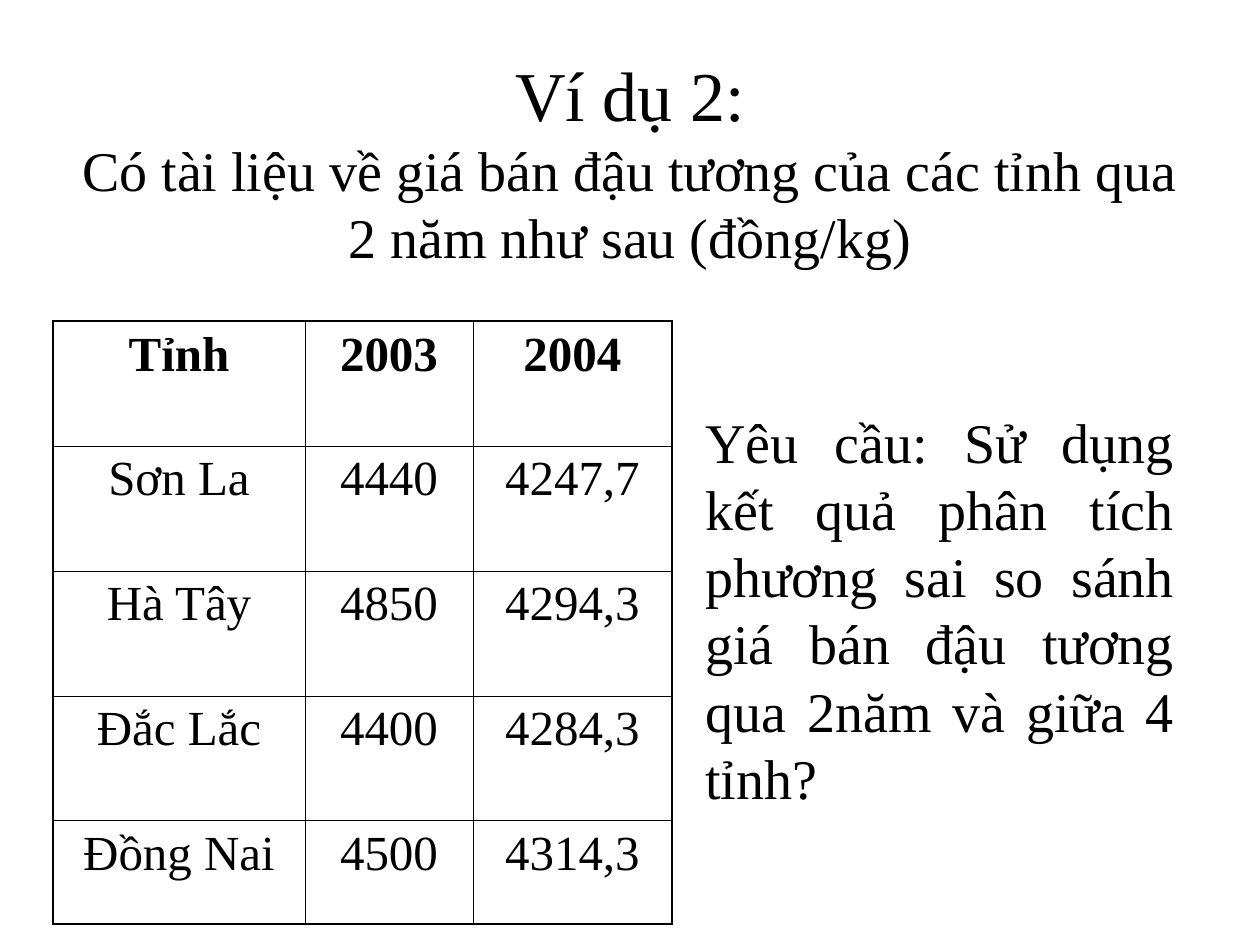
"""Builds a slide comparing soybean prices by province over two years."""
from lxml.etree import SubElement
from pptx import Presentation
from pptx.dml.color import RGBColor as RGB
from pptx.enum.text import MSO_ANCHOR as Anchor, PP_ALIGN as Align
from pptx.oxml.ns import qn
from pptx.util import Pt

BLACK = RGB(0, 0, 0)
FONT = "Times New Roman"
THIN, THICK = 0.45, 1.08
COLS = [252, 168, 199]
ROWS = [125, 125, 125, 125, 103]
DATA = [
    ["Tỉnh", "2003", "2004"],
    ["Sơn La", "4440", "4247,7"],
    ["Hà Tây", "4850", "4294,3"],
    ["Đắc Lắc", "4400", "4284,3"],
    ["Đồng Nai", "4500", "4314,3"],
]


class Page:
    def __init__(self, wide, high):
        self.deck = Presentation()
        self.deck.slide_width = self.emu(wide)
        self.deck.slide_height = self.emu(high)
        self.slide = self.deck.slides.add_slide(self.deck.slide_layouts[6])

    def emu(self, px):
        return round(px * 914400 / 126)

    def style(self, para, sizes, align, bold=False):
        para.alignment = align
        for run, size in zip(para.runs, sizes):
            font = run.font
            font.name, font.size, font.bold = FONT, Pt(size), bold
            font.color.rgb = BLACK

    def text(self, box, words, sizes, align):
        frame = self.slide.shapes.add_textbox(*map(self.emu, box)).text_frame
        frame.word_wrap = True
        frame.vertical_anchor = Anchor.MIDDLE
        para = frame.paragraphs[0]
        para.text = words
        self.style(para, sizes, align)

    def edge(self, cell, side, width):
        line = SubElement(cell._tc.get_or_add_tcPr(), qn(f"a:ln{side}"), w=str(Pt(width)))
        fill = SubElement(line, qn("a:solidFill"))
        SubElement(fill, qn("a:srgbClr"), val=str(BLACK))

    def table(self, left, top, cols, rows, data, size):
        box = map(self.emu, (left, top, sum(cols), sum(rows)))
        grid = self.slide.shapes.add_table(len(rows), len(cols), *box).table
        for col, wide in zip(grid.columns, cols):
            col.width = self.emu(wide)
        for row, high in zip(grid.rows, rows):
            row.height = self.emu(high)
        for r, line in enumerate(data):
            for c, word in enumerate(line):
                cell = grid.cell(r, c)
                para = cell.text_frame.paragraphs[0]
                para.text = word
                para.space_before = Pt(7)
                self.style(para, [size], Align.CENTER, r == 0)
                outer = {"L": c == 0, "R": c == len(cols) - 1,
                         "T": r == 0, "B": r == len(rows) - 1}
                for side, rim in outer.items():
                    self.edge(cell, side, THICK if rim else THIN)
                cell.fill.background()


def main():
    page = Page(1260, 945)
    page.text((63, 38, 1134, 246),
              "Ví dụ 2:\vCó tài liệu về giá bán đậu tương của các tỉnh qua 2 năm như sau (đồng/kg)",
              [40, 32], Align.CENTER)
    page.table(53, 321, COLS, ROWS, DATA, 28)
    page.text((693, 357, 494, 504),
              "Yêu cầu: Sử dụng kết quả phân tích\v"
              "phương sai so sánh giá bán đậu tương qua 2năm và giữa 4 tỉnh?",
              [32, 32], Align.JUSTIFY)
    page.deck.save("out.pptx")


if __name__ == "__main__":
    main()
